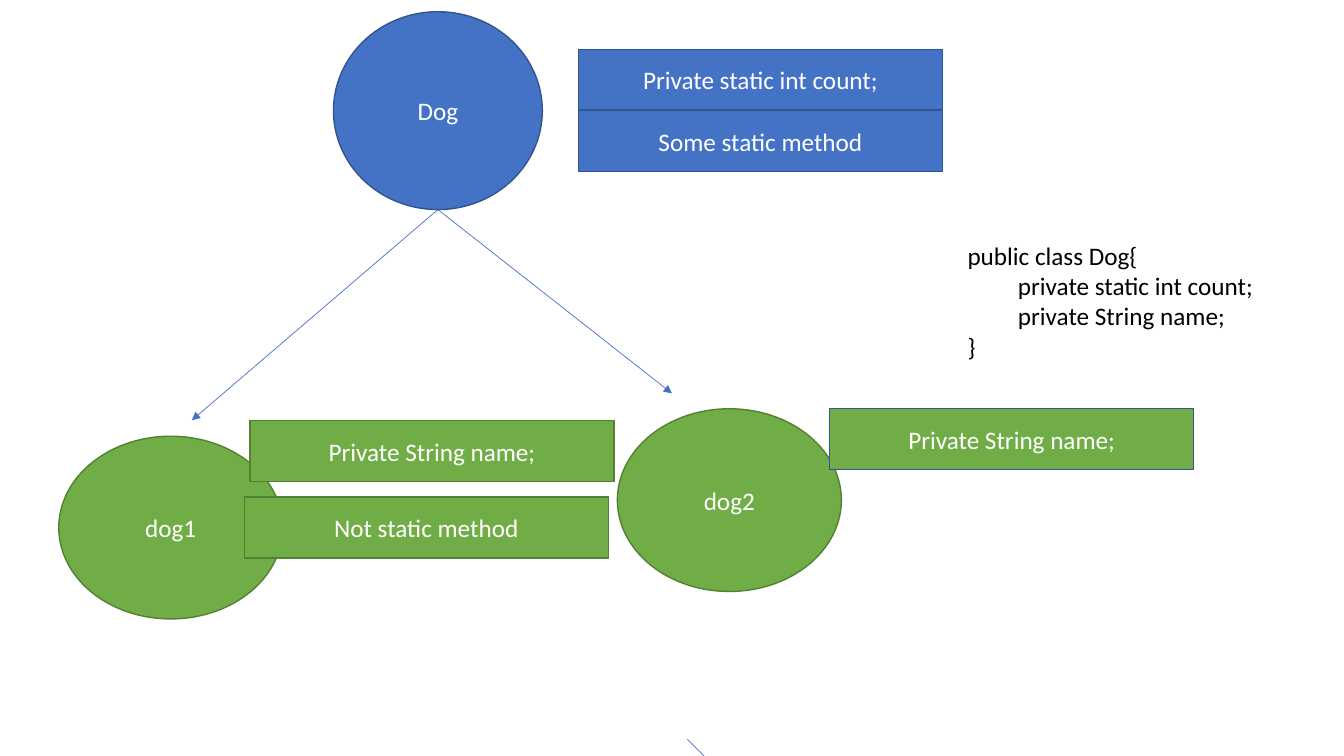
from lxml.etree import SubElement
from pptx import Presentation
from pptx.dml.color import RGBColor
from pptx.enum.shapes import MSO_CONNECTOR as Connector, MSO_SHAPE as Shape
from pptx.enum.text import MSO_ANCHOR as Anchor, MSO_AUTO_SIZE as AutoSize, PP_ALIGN as Align
from pptx.oxml.ns import qn
from pptx.util import Pt

SLIDE_SIZE = (960, 540)
FONT, FONT_SIZE = "Calibri", 18
BLUE, DARK_BLUE = "4472C4", "325491"
GREEN, DARK_GREEN = "70AD47", "538035"
WHITE, BLACK = "FFFFFF", "000000"

CLASS_SIZE = (149.2, 141.3)
OBJECT_SIZE = (160, 130.5)
MEMBER_SIZE = (260, 43.5)
CLASS_POSITION = (238.2, 8.4)

CIRCLES = [
    ("Dog", CLASS_POSITION, CLASS_SIZE, BLUE, DARK_BLUE),
    ("dog1", (42, 311.6), OBJECT_SIZE, GREEN, DARK_GREEN),
    ("dog2", (441, 292), OBJECT_SIZE, GREEN, DARK_GREEN),
]
MEMBERS = [
    ("Private static int count;", (413.2, 35.2), BLUE, DARK_BLUE),
    ("Private String name;", (592.7, 292), GREEN, DARK_BLUE),
    ("Private String name;", (178.6, 300.5), GREEN, DARK_GREEN),
    ("Some static method", (413.2, 78.9), BLUE, DARK_BLUE),
    ("Not static method", (174.5, 355), GREEN, DARK_GREEN),
]
ARROW_TIPS = [(137, 300.2), (480, 281)]
STRAY_LINE = ((491, 528), (503, 540))
CODE_BOX = (684, 168, 278, 94.5)
CODE = [
    "public class Dog{",
    "\tprivate static int count;",
    "\tprivate String name;",
    "}",
]


def color(value):
    return RGBColor.from_string(value)


def set_font(paragraph, text_color):
    paragraph.font.name = FONT
    paragraph.font.size = Pt(FONT_SIZE)
    paragraph.font.color.rgb = color(text_color)


def add_labelled_shape(slide, kind, text, position, size, fill, outline):
    shape = slide.shapes.add_shape(kind, *map(Pt, position + size))
    shape.shadow.inherit = False
    shape.fill.solid()
    shape.fill.fore_color.rgb = color(fill)
    shape.line.color.rgb = color(outline)
    shape.line.width = Pt(1)
    shape.text_frame.word_wrap = True
    shape.text_frame.vertical_anchor = Anchor.MIDDLE
    paragraph = shape.text_frame.paragraphs[0]
    paragraph.text = text
    paragraph.alignment = Align.CENTER
    set_font(paragraph, WHITE)


def add_line(slide, start, end, arrowhead):
    connector = slide.shapes.add_connector(Connector.STRAIGHT, *map(Pt, start + end))
    connector.line.color.rgb = color(BLUE)
    connector.line.width = Pt(0.5)
    if arrowhead:
        SubElement(connector.line._get_or_add_ln(), qn("a:tailEnd"), type="triangle")
    SubElement(connector._element.spPr, qn("a:effectLst"))


def add_code(slide):
    box = slide.shapes.add_textbox(*map(Pt, CODE_BOX))
    frame = box.text_frame
    frame.word_wrap = True
    frame.auto_size = AutoSize.SHAPE_TO_FIT_TEXT
    frame.text = "\n".join(CODE)
    for paragraph in frame.paragraphs:
        set_font(paragraph, BLACK)


def main():
    presentation = Presentation()
    presentation.slide_width, presentation.slide_height = map(Pt, SLIDE_SIZE)
    slide = presentation.slides.add_slide(presentation.slide_layouts[6])

    class_bottom = (
        CLASS_POSITION[0] + CLASS_SIZE[0] / 2,
        CLASS_POSITION[1] + CLASS_SIZE[1],
    )
    for tip in ARROW_TIPS:
        add_line(slide, class_bottom, tip, True)
    add_line(slide, *STRAY_LINE, False)

    for text, position, size, fill, outline in CIRCLES:
        add_labelled_shape(slide, Shape.OVAL, text, position, size, fill, outline)
    add_code(slide)
    for text, position, fill, outline in MEMBERS:
        add_labelled_shape(slide, Shape.RECTANGLE, text, position, MEMBER_SIZE, fill, outline)

    presentation.save("out.pptx")


if __name__ == "__main__":
    main()
